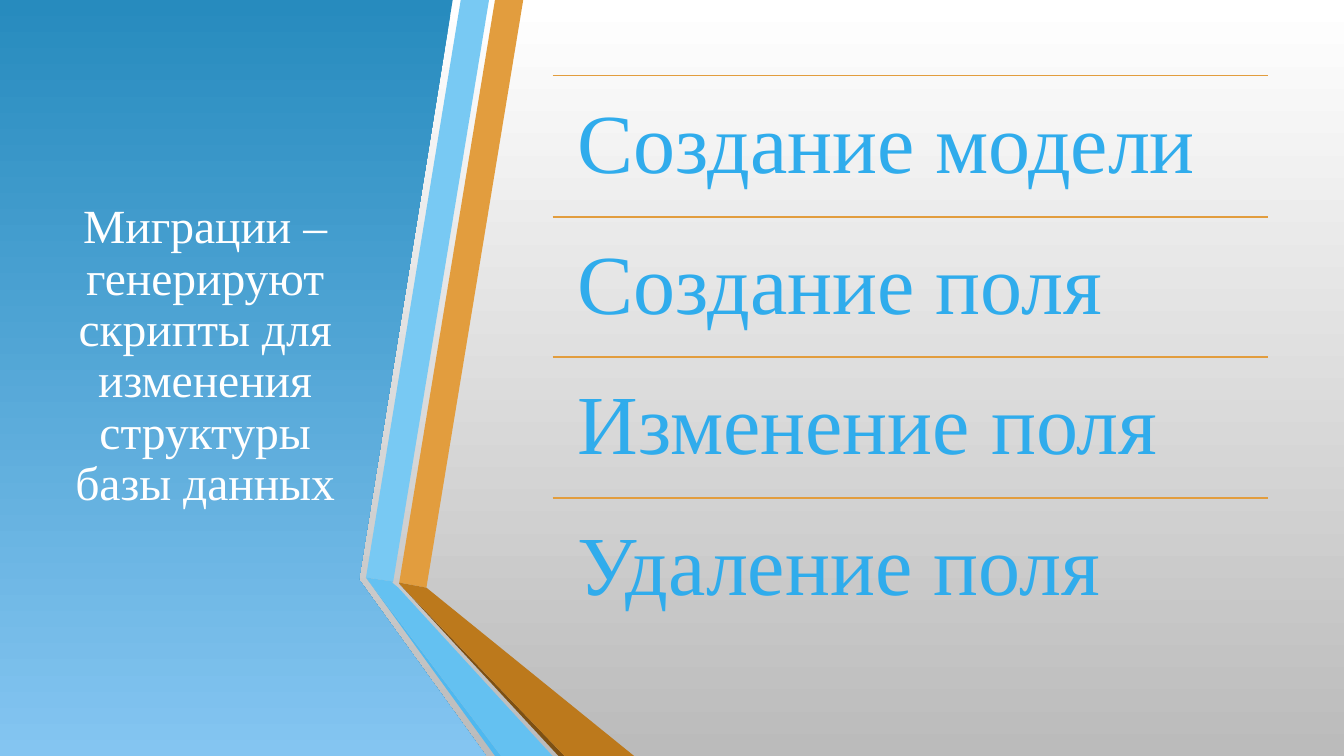
from dataclasses import dataclass

from lxml.etree import SubElement
from pptx import Presentation
from pptx.dml.color import RGBColor
from pptx.enum.shapes import MSO_CONNECTOR
from pptx.enum.text import MSO_ANCHOR, PP_ALIGN
from pptx.oxml.ns import qn
from pptx.util import Inches, Pt


@dataclass(frozen=True)
class Theme:
    font: str = "Times New Roman"
    title_size: int = 34
    item_size: int = 60
    rule_width: float = 1.25
    line_spacing: float = 0.9
    title_color: str = "FFFFFF"
    item_color: str = "30ACEC"
    orange: str = "E29D3E"
    orange_dark: str = "BC791C"
    orange_shade: str = "7D5013"
    blue: str = "78C9F3"
    blue_dark: str = "64C1F1"
    blue_shade: str = "4FB8EF"
    backdrop: tuple = ("FFFFFF", "BBBBBB")
    panel: tuple = ("278BBE", "84C5F1")


class SlideBuilder:
    def __init__(self, slide, theme):
        self.slide = slide
        self.theme = theme

    def gradient(self, fill, colors):
        """Top-to-bottom gradient."""
        fill.gradient()
        fill.gradient_angle = 270
        for stop, position, color in zip(fill.gradient_stops, (0, 1), colors):
            stop.position = position
            stop.color.rgb = RGBColor.from_string(color)

    def backdrop(self):
        self.gradient(self.slide.background.fill, self.theme.backdrop)

    def outline(self, points, fill):
        """Closed polygon; points in inches, fill a color or a pair of them."""
        start, *rest = [(round(x * 100), round(y * 100)) for x, y in points]
        builder = self.slide.shapes.build_freeform(*start, scale=Inches(0.01))
        builder.add_line_segments(rest, close=True)
        polygon = builder.convert_to_shape()
        polygon.shadow.inherit = False
        polygon.line.fill.background()
        if isinstance(fill, tuple):
            self.gradient(polygon.fill, fill)
        else:
            polygon.fill.solid()
            polygon.fill.fore_color.rgb = RGBColor.from_string(fill)

    def rule(self, left, top, width):
        line = self.slide.shapes.add_connector(
            MSO_CONNECTOR.STRAIGHT, Inches(left), Inches(top),
            Inches(left + width), Inches(top))
        line.line.color.rgb = RGBColor.from_string(self.theme.orange)
        line.line.width = Pt(self.theme.rule_width)
        SubElement(line._element.spPr, qn("a:effectLst"))

    def text(self, words, box, size, color, inset=0.1,
             align=PP_ALIGN.LEFT, anchor=MSO_ANCHOR.TOP):
        frame = self.slide.shapes.add_textbox(*map(Inches, box)).text_frame
        frame.word_wrap = True
        frame.vertical_anchor = anchor
        frame.margin_left = frame.margin_right = Inches(inset)
        frame.margin_top = frame.margin_bottom = Inches(min(inset, 0.25))
        frame.text = words
        paragraph = frame.paragraphs[0]
        paragraph.alignment = align
        paragraph.line_spacing = self.theme.line_spacing
        font = paragraph.runs[0].font
        font.name = self.theme.font
        font.size = Pt(size)
        font.color.rgb = RGBColor.from_string(color)


def main():
    deck = Presentation()
    deck.slide_width, deck.slide_height = Inches(13.33), Inches(7.5)
    theme = Theme()
    page = SlideBuilder(deck.slides.add_slide(deck.slide_layouts[6]), theme)
    page.backdrop()

    # Blue panel with the title
    page.outline([(0, 0), (4.49, 0), (3.56, 5.75), (4.82, 7.5), (0, 7.5)],
                 theme.panel)
    page.text("Миграции – генерируют скрипты для изменения структуры базы данных",
              (0.59, 0.75, 2.89, 5.58), theme.title_size, theme.title_color,
              align=PP_ALIGN.CENTER, anchor=MSO_ANCHOR.MIDDLE)

    # Folded ribbons: upper bands, then shades and lower bands
    ribbons = [
        ([(3.96, 5.78), (4.23, 5.83), (5.19, 0), (4.91, 0)], theme.orange),
        ([(4.85, 0), (4.57, 0), (3.63, 5.73), (3.9, 5.77)], theme.blue),
        ([(3.63, 5.73), (4.91, 7.5), (4.97, 7.5)], theme.blue_shade),
        ([(3.96, 5.79), (5.54, 7.5), (5.6, 7.5)], theme.orange_shade),
        ([(3.96, 5.79), (5.6, 7.5), (6.29, 7.5), (4.23, 5.83), (3.96, 5.78)],
         theme.orange_dark),
        ([(5.48, 7.5), (3.95, 5.83), (3.89, 5.78), (3.9, 5.77), (3.63, 5.73),
          (4.97, 7.5)], theme.blue_dark),
    ]
    for points, color in ribbons:
        page.outline(points, color)

    # List of migration cases, each under a rule
    left, first_top, width, pitch = 5.48, 0.75, 7.1, 1.397
    cases = ["Создание модели", "Создание поля", "Изменение поля", "Удаление поля"]
    for index, case in enumerate(cases):
        top = round(first_top + index * pitch, 2)
        page.rule(left, top, width)
        page.text(case, (left, top, width, 1.4), theme.item_size,
                  theme.item_color, inset=0.25)

    deck.save("out.pptx")


if __name__ == "__main__":
    main()
